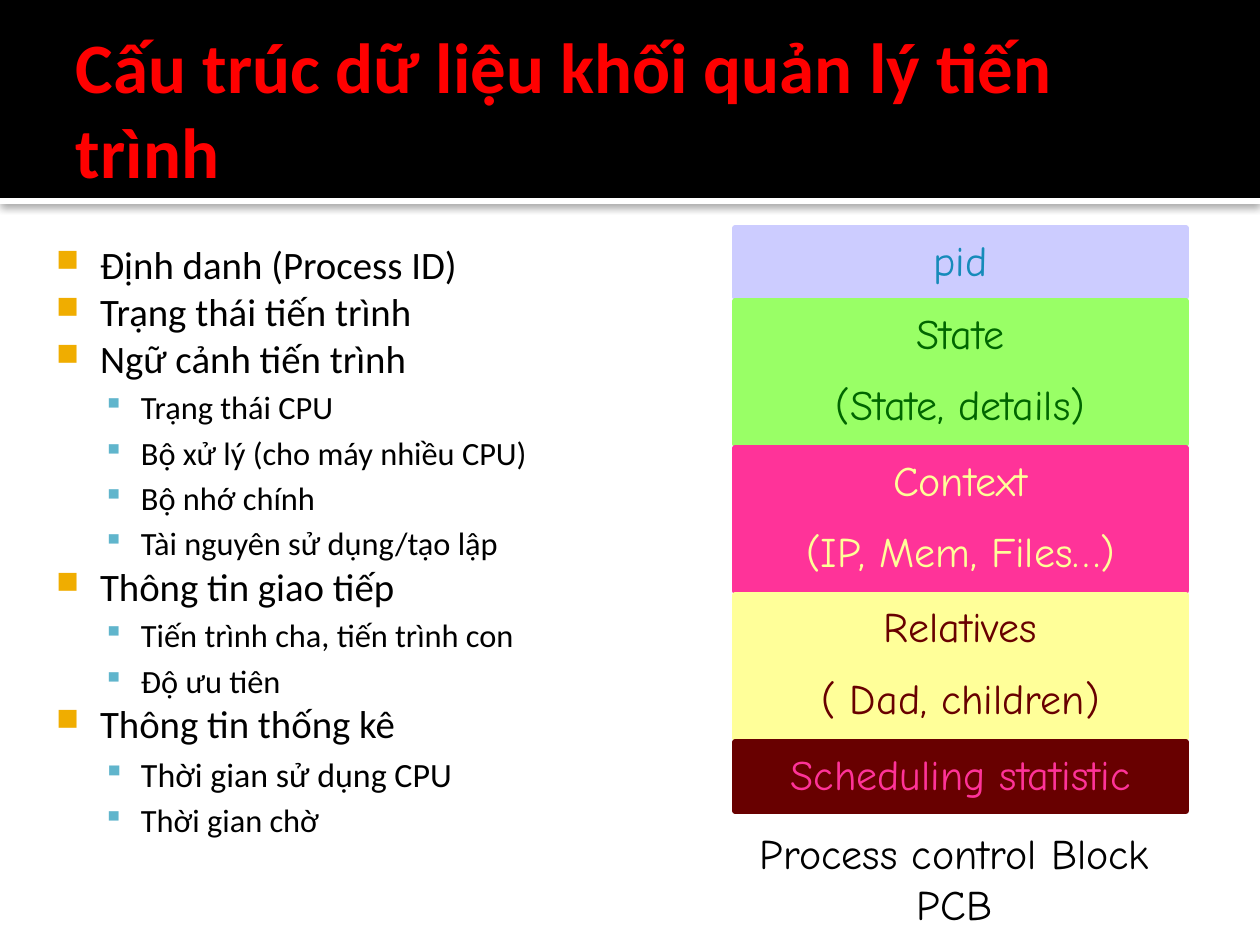
from dataclasses import dataclass

import pptx
import pptx.dml.color
import pptx.enum.shapes
import pptx.enum.text
import pptx.oxml
import pptx.oxml.ns
import pptx.util

PX = 914400 / 126  # EMU in one px
ALIGN = pptx.enum.text.PP_ALIGN
ANCHOR = pptx.enum.text.MSO_ANCHOR


@dataclass(frozen=True)
class Theme:
    # Fonts
    body_font: str = "Calibri"
    block_font: str = "Comic Neue"
    # Type sizes in points
    title_size: float = 40.5
    item_size: float = 22.2
    sub_size: float = 18.5
    sub_large_size: float = 19.4
    block_size: float = 24
    # Colours
    white: str = "FFFFFF"
    black: str = "000000"
    title: str = "FF0000"
    item_bullet: str = "F0AD00"
    sub_bullet: str = "60B5CC"
    lavender: str = "CCCCFF"
    blue: str = "168BBA"
    lime: str = "99FF66"
    green: str = "006600"
    pink: str = "FF3399"
    yellow: str = "FFFF99"
    maroon: str = "680000"


def emu(px):
    return pptx.util.Emu(round(px * PX))


def rgb(value):
    return pptx.dml.color.RGBColor.from_string(value)


def xml(text):
    return pptx.oxml.parse_xml(text.replace(">", f" {pptx.oxml.ns.nsdecls('a')}>", 1))


class Deck:
    """Holds the theme and the slide being drawn."""

    def __init__(self, theme):
        self.theme = theme
        self.prs = pptx.Presentation()
        self.prs.slide_width = emu(1260)
        self.prs.slide_height = emu(945)
        self.slide = self.prs.slides.add_slide(self.prs.slide_layouts[6])

    def rect(self, x, y, w, h, fill, line_width=0):
        sp = self.slide.shapes.add_shape(
            pptx.enum.shapes.MSO_SHAPE.RECTANGLE, emu(x), emu(y), emu(w), emu(h))
        sp.shadow.inherit = False
        sp.fill.solid()
        sp.fill.fore_color.rgb = rgb(fill)
        if line_width:
            sp.line.color.rgb = rgb(fill)
            sp.line.width = pptx.util.Pt(line_width)
        else:
            sp.line.fill.background()
        return sp

    def drop_shadow(self, sp, blur, dist, alpha):
        effects = sp._element.spPr.find(pptx.oxml.ns.qn("a:effectLst"))
        effects.append(xml(
            f'<a:outerShdw blurRad="{pptx.util.Pt(blur)}" dist="{pptx.util.Pt(dist)}"'
            ' dir="5400000" algn="t" rotWithShape="0"><a:srgbClr val="000000">'
            f'<a:alpha val="{alpha * 1000}"/></a:srgbClr></a:outerShdw>'))

    def text_box(self, x, y, w, h, insets=(13, 6, 13, 6), anchor=ANCHOR.TOP):
        sp = self.slide.shapes.add_textbox(emu(x), emu(y), emu(w), emu(h))
        return self.frame(sp, insets, anchor)

    def frame(self, sp, insets=(13, 6, 13, 6), anchor=ANCHOR.TOP):
        tf = sp.text_frame
        tf.word_wrap = True
        tf.vertical_anchor = anchor
        (tf.margin_left, tf.margin_top,
         tf.margin_right, tf.margin_bottom) = map(emu, insets)
        return tf

    def paragraph(self, tf, text, size, font, color, align=ALIGN.LEFT,
                  bold=False, before=0.0):
        """Add a paragraph; before is a share of the type size."""
        p = tf.paragraphs[0]
        if p.runs:
            p = tf.add_paragraph()
        p.alignment = align
        p.space_before = pptx.util.Pt(round(size * before, 1))
        r = p.add_run()
        r.text = text
        r.font.size = pptx.util.Pt(size)
        r.font.name = font
        r.font.bold = bold
        r.font.color.rgb = rgb(color)
        return p

    def bullet(self, p, level, char, color, percent, margin, hanging):
        p.level = level
        pPr = p._p.get_or_add_pPr()
        pPr.set("marL", str(emu(margin)))
        pPr.set("indent", str(-emu(hanging)))
        for part in (f'<a:buClr><a:srgbClr val="{color}"/></a:buClr>',
                     f'<a:buSzPct val="{percent * 1000}"></a:buSzPct>',
                     f'<a:buChar char="{char}"></a:buChar>'):
            pPr.append(xml(part))

    def item(self, tf, text):
        t = self.theme
        p = self.paragraph(tf, text, t.item_size, t.body_font, t.black)
        self.bullet(p, 0, "■", t.item_bullet, 80, 60, 44)

    def sub_item(self, tf, text, size):
        t = self.theme
        p = self.paragraph(tf, text, size, t.body_font, t.black, before=0.2)
        self.bullet(p, 1, "▪", t.sub_bullet, 90, 101, 38)

    def block_lines(self, tf, lines, color, before=0.0):
        t = self.theme
        for line in lines:
            self.paragraph(tf, line, t.block_size, t.block_font, color,
                           ALIGN.CENTER, before=before)


def main():
    t = Theme()
    deck = Deck(t)

    # Title band with a shadowed strip below
    strip = deck.rect(0, 198, 1260, 6, t.white)
    deck.drop_shadow(strip, blur=5, dist=0.8, alpha=60)
    deck.rect(0, 0, 1260, 198, t.black)
    tf = deck.text_box(63, 21, 1134, 173, (13, 6, 6, 6), ANCHOR.MIDDLE)
    deck.paragraph(tf, "Cấu trúc dữ liệu khối quản lý tiến trình",
                   t.title_size, t.body_font, t.title, bold=True)

    # Outline: each item with its sub-items
    outline = [
        ("Định danh (Process ID)", []),
        ("Trạng thái tiến trình", []),
        ("Ngữ cảnh tiến trình", [
            ("Trạng thái CPU", t.sub_size),
            ("Bộ xử lý (cho máy nhiều CPU)", t.sub_size),
            ("Bộ nhớ chính", t.sub_size),
            ("Tài nguyên sử dụng/tạo lập", t.sub_size)]),
        ("Thông tin giao tiếp", [
            ("Tiến trình cha, tiến trình con", t.sub_size),
            ("Độ ưu tiên", t.sub_size)]),
        ("Thông tin thống kê", [
            ("Thời gian sử dụng CPU", t.sub_large_size),
            ("Thời gian chờ", t.sub_size)]),
    ]
    tf = deck.text_box(32, 228, 1155, 625, (8, 13, 13, 6))
    for text, sub_items in outline:
        deck.item(tf, text)
        for sub_text, size in sub_items:
            deck.sub_item(tf, sub_text, size)

    # Process control block: stacked fields, height set by line count
    fields = [
        (["pid"], t.lavender, t.blue),
        (["State", "(State, details)"], t.lime, t.green),
        (["Context", "(IP, Mem, Files…)"], t.pink, t.yellow),
        (["Relatives", "( Dad, children)"], t.yellow, t.maroon),
        (["Scheduling statistic"], t.maroon, t.pink),
    ]
    heights = {1: 69, 2: 143}
    gap = 4
    top = 228
    for lines, fill, color in fields:
        height = heights[len(lines)]
        sp = deck.rect(735, top, 451, height, fill, line_width=3)
        deck.block_lines(deck.frame(sp), lines, color, before=0.5)
        top += height + gap

    # Caption of the block
    tf = deck.text_box(722, 822, 465, 115)
    deck.block_lines(tf, ["Process control Block", "PCB"], t.black)

    deck.prs.save("out.pptx")


if __name__ == "__main__":
    main()
